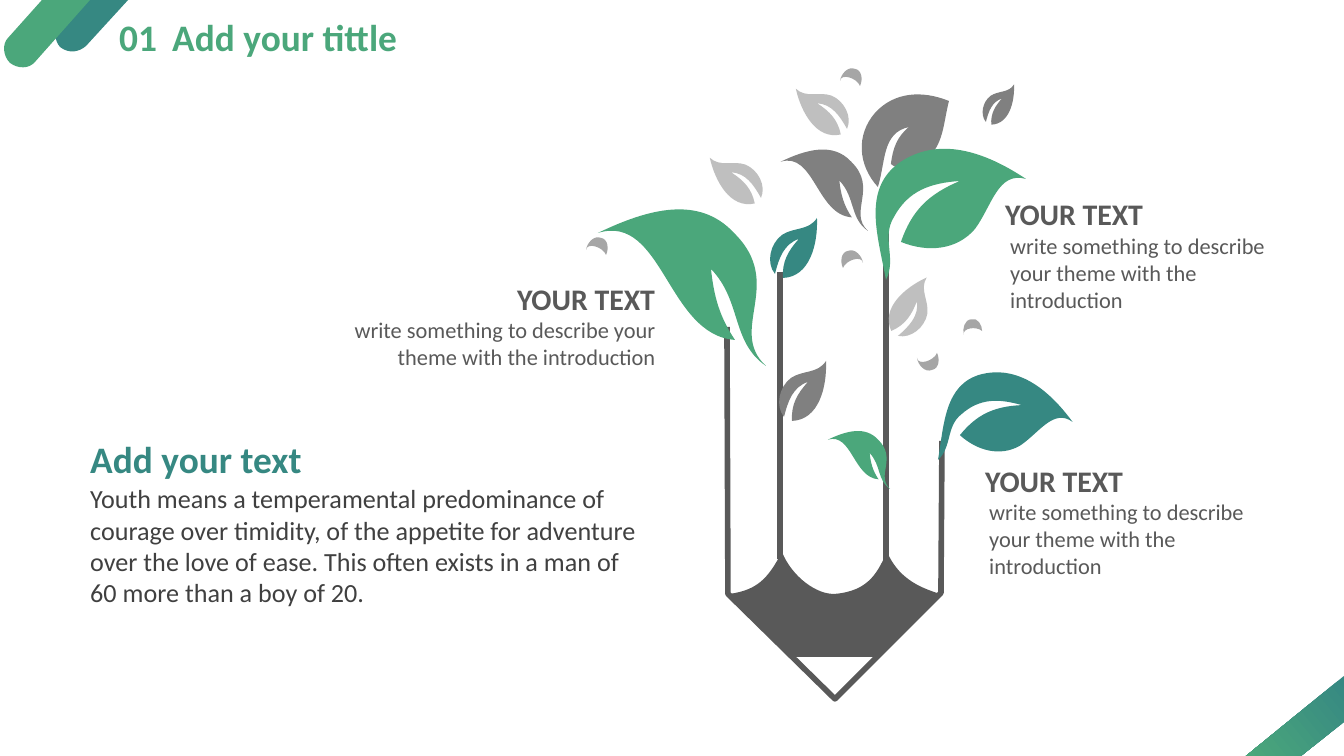
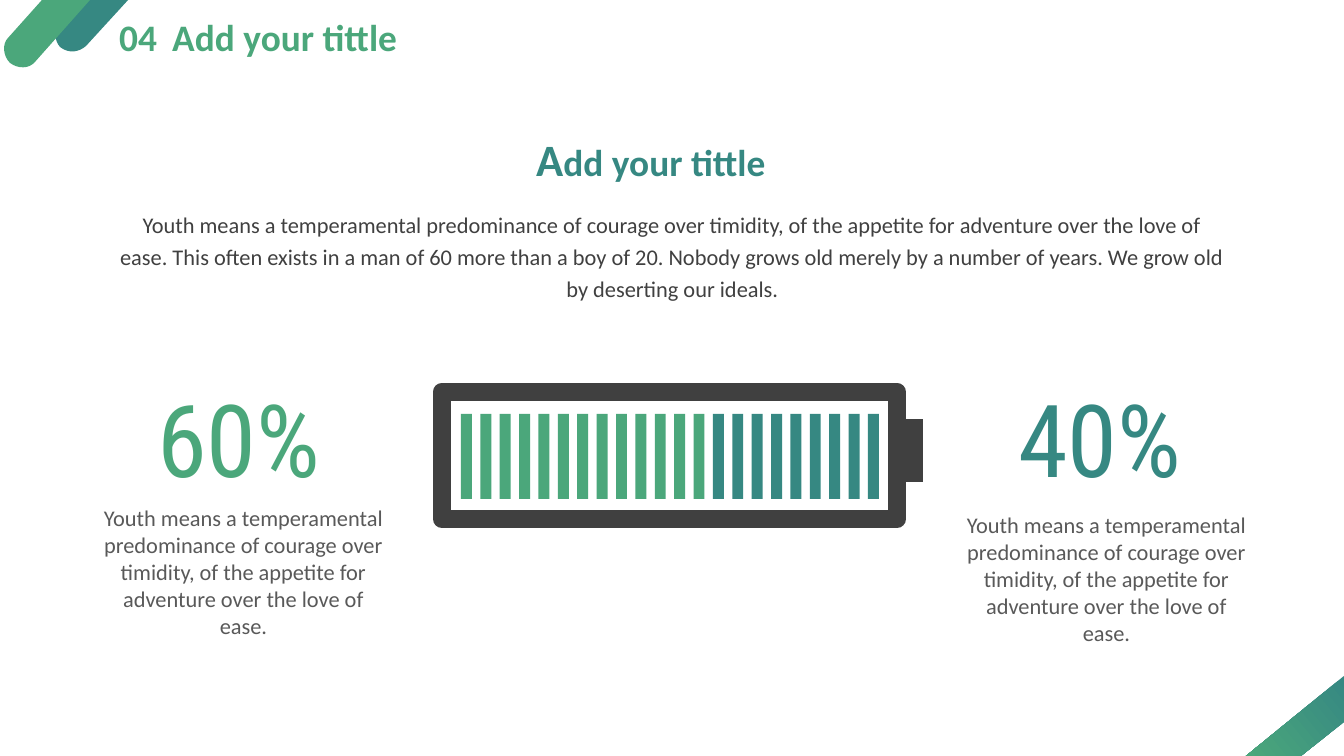
import math

from lxml import etree
from pptx import Presentation, util as u
from pptx.dml.color import RGBColor
from pptx.enum import shapes, text
from pptx.oxml.ns import qn

PX = 914400 / 134.4
GREEN = RGBColor(0x4B, 0xA7, 0x7B)
TEAL = RGBColor(0x36, 0x88, 0x82)
INK = RGBColor(0x40, 0x40, 0x40)
SLATE = RGBColor(0x59, 0x59, 0x59)
GREY = RGBColor(0x80, 0x80, 0x80)
SILVER = RGBColor(0xA6, 0xA6, 0xA6)
PALE = RGBColor(0xBF, 0xBF, 0xBF)
LEFT, CENTER, RIGHT = text.PP_ALIGN.LEFT, text.PP_ALIGN.CENTER, text.PP_ALIGN.RIGHT

# Outlines start at (0, 0). One pair is a straight side, three pairs are a Bézier curve.
TEAL_BAND = [
    [(49, 0)], [(7, 46)],
    [(0, 52), (-10, 54), (-19, 47)],
    [(-25, 40), (-25, 30), (-20, 22)],
]
GREEN_BAND = [
    [(48, 0)], [(-7, 62)],
    [(-13, 69), (-24, 69), (-32, 63)],
    [(-39, 56), (-40, 44), (-34, 38)],
]
CORNER_BAND = [[(0, 46)], [(-43, 80)], [(-98, 80)]]
BROAD_LEAF = [
    [(-8, -44), (-24, -90), (13, -117)],
    [(52, -144), (98, -129), (140, -101)],
    [(112, -109), (106, -74), (89, -51)],
    [(71, -30), (42, -27), (15, -38)],
    [(26, -70), (43, -86), (74, -99)],
    [(44, -97), (22, -89), (8, -63)],
    [(-5, -42), (11, -22), (0, 0)],
]
TOP_LEAF = [
    [(-20, -22), (-22, -52), (-3, -74)],
    [(16, -95), (44, -97), (71, -86)],
    [(65, -62), (66, -42), (47, -26)],
    [(39, -20), (19, -16), (13, -23)],
    [(15, -39), (19, -50), (31, -60)],
    [(4, -54), (8, -26), (0, 0)],
]
SMALL_LEAF = [
    [(-9, -11), (-5, -30), (7, -39)],
    [(19, -47), (34, -43), (42, -56)],
    [(43, -30), (35, 3), (8, 4)],
    [(7, -12), (13, -23), (24, -35)],
    [(9, -30), (4, -16), (0, 0)],
]
DROOPING_LEAF = [
    [(-35, -24), (-24, -65), (-55, -97)],
    [(-52, -70), (-47, -50), (-31, -26)],
    [(-99, -31), (-103, -153), (-168, -133)],
    [(-118, -157), (-67, -171), (-32, -133)],
    [(20, -82), (-39, -36), (0, 0)],
]
BUD = [
    [(1, -7), (8, -15), (15, -12)],
    [(22, -11), (23, -1), (20, 5)],
    [(17, -3), (1, -8), (0, 0)],
]
PENCIL_WOOD = [
    [(27, -4), (38, -15), (52, -42)],
    [(62, -17), (87, 1), (105, 0)],
    [(140, -3), (148, -23), (157, -42)],
    [(168, -17), (187, -7), (210, 0)],
    [(148, 63)], [(60, 63)],
]


def draw_outline(page, outline, colour, x, y, scale=1, angle=0, mirror=1):
    """Draw a filled outline from (x, y): mirrored, then turned clockwise by angle."""
    cos, sin = (scale * f(math.radians(angle)) for f in (math.cos, math.sin))
    points = [((x + mirror * px * cos - py * sin) * PX,
               (y + mirror * px * sin + py * cos) * PX)
              for segment in outline for px, py in segment]
    builder = page.shapes.build_freeform(x * PX, y * PX)
    builder.add_line_segments(points, close=True)
    shape = builder.convert_to_shape()
    sides = iter(list(shape._element.iter(qn("a:lnTo"))))
    for segment in outline:
        first = next(sides)
        if len(segment) == 3:
            first.tag = qn("a:cubicBezTo")
            for _ in range(2):
                side = next(sides)
                first.append(side[0])
                side.getparent().remove(side)
    shape.shadow.inherit = False
    shape.fill.solid()
    shape.fill.fore_color.rgb = colour
    shape.line.fill.background()
    return shape


def add_text(page, frame, words, size, colour, bold=False, wrap=False, align=LEFT,
             font="Calibri"):
    box = page.shapes.add_textbox(*(round(n * PX) for n in frame))
    box.text_frame.word_wrap = wrap
    box.text_frame.auto_size = text.MSO_AUTO_SIZE.SHAPE_TO_FIT_TEXT
    para = box.text_frame.paragraphs[0]
    para.alignment = align
    para.font.name = font
    para.font.size = u.Pt(size)
    para.font.bold = bold
    para.font.color.rgb = colour
    para.add_run().text = words
    return para


deck = Presentation()
deck.slide_width = round(1344 * PX)
deck.slide_height = round(756 * PX)

pages = []
for number in ("01", "04"):
    page = deck.slides.add_slide(deck.slide_layouts[6])
    draw_outline(page, TEAL_BAND, TEAL, 79, 0)
    draw_outline(page, GREEN_BAND, GREEN, 42, 0)
    corner = draw_outline(page, CORNER_BAND, TEAL, 1344, 676)
    corner.fill.gradient()
    corner.fill.gradient_angle = 219
    for stop, colour in zip(corner.fill.gradient_stops, (TEAL, GREEN)):
        stop.color.rgb = colour
    add_text(page, (106, 8, 66, 59), number, 20, GREEN, bold=True)
    add_text(page, (159, 8, 255, 59), "Add your tittle", 20, GREEN, bold=True)
    pages.append(page)
pencil_page, battery_page = pages

# Pencil with leaves
for heading_frame, note_frame, align in (
    ((992, 189, 167, 50), (997, 226, 304, 95), LEFT),
    ((972, 456, 167, 50), (976, 492, 304, 95), LEFT),
    ((504, 274, 167, 50), (317, 310, 352, 67), RIGHT),
):
    add_text(pencil_page, heading_frame, "YOUR TEXT", 16, SLATE, bold=True)
    add_text(pencil_page, note_frame,
             "write something to describe your theme with the introduction",
             12, SLATE, wrap=True, align=align)
add_text(pencil_page, (77, 430, 241, 59), "Add your text", 20, TEAL, bold=True)
add_text(pencil_page, (77, 476, 575, 140),
         "Youth means a temperamental predominance of courage over timidity, of the "
         "appetite for adventure over the love of ease. This often exists in a man of "
         "60 more than a boy of 20.", 14, INK, wrap=True)

draw_outline(pencil_page, TOP_LEAF, GREY, 878, 187)

builder = pencil_page.shapes.build_freeform(727, 327, scale=PX)
builder.add_line_segments([(728, 594), (835, 699), (941, 593), (942, 441)], close=False)
body = builder.convert_to_shape()
body.shadow.inherit = False
body.fill.background()
body.line.color.rgb = SLATE
body.line.width = u.Pt(3)
draw_outline(pencil_page, PENCIL_WOOD, SLATE, 730, 594)
for x, bottom, top in ((780, 559, 272), (886, 562, 220)):
    edge = pencil_page.shapes.add_connector(
        shapes.MSO_CONNECTOR.STRAIGHT, *(round(n * PX) for n in (x, bottom, x, top)))
    edge.line.color.rgb = SLATE
    edge.line.width = u.Pt(3)
    etree.SubElement(edge._element.spPr, qn("a:effectLst"))

for leaf in (
    (BROAD_LEAF, GREEN, 886, 280),
    (DROOPING_LEAF, GREEN, 890, 489, 0.37),
    (BROAD_LEAF, TEAL, 938, 460, 0.81, 20),
    (SMALL_LEAF, GREY, 784, 417),
    (DROOPING_LEAF, GREEN, 766, 366),
    (BUD, SILVER, 863, 263, 1, 0, -1),
    (BUD, SILVER, 586, 250),
    (BUD, SILVER, 840, 81),
    (BUD, SILVER, 917, 358, 1, 180, -1),
    (SMALL_LEAF, GREY, 986, 122, 0.67),
    (SMALL_LEAF, PALE, 761, 198, 0.93, -15, -1),
    (DROOPING_LEAF, GREY, 868, 231, 0.52),
    (SMALL_LEAF, PALE, 898, 336, 0.93, 63, -1),
    (SMALL_LEAF, PALE, 847, 129, 0.93, -15, -1),
    (BUD, SILVER, 964, 335, 0.9, -26),
    (SMALL_LEAF, TEAL, 775, 274),
):
    draw_outline(pencil_page, *leaf)

# Battery
BARS, GREEN_BARS = 22, 13
bars = [((461 + i * 407 / (BARS - 1), 414, 11, 85), GREEN if i < GREEN_BARS else TEAL)
        for i in range(BARS)]
for frame, colour in [((442, 392, 455, 127), None), ((891, 419, 32, 63), INK), *bars]:
    block = battery_page.shapes.add_shape(
        shapes.MSO_SHAPE.RECTANGLE, *(round(n * PX) for n in frame))
    block.shadow.inherit = False
    if colour is None:
        block.fill.background()
        block.line.color.rgb = INK
        block.line.width = u.Pt(9.75)
    else:
        block.fill.solid()
        block.fill.fore_color.rgb = colour
        block.line.fill.background()

for share, colour, share_frame, note_frame in (
    ("40%", TEAL, (1005, 370, 203, 136), (950, 505, 313, 149)),
    ("60%", GREEN, (144, 370, 207, 136), (87, 498, 313, 149)),
):
    add_text(battery_page, share_frame, share, 54, colour, font="Roboto Condensed")
    add_text(battery_page, note_frame,
             "Youth means a temperamental predominance of courage over timidity, of the "
             "appetite for adventure over the love of ease.",
             12, SLATE, wrap=True, align=CENTER)

intro = add_text(battery_page, (106, 199, 1133, 112),
                 "Youth means a temperamental predominance of courage over timidity, of the "
                 "appetite for adventure over the love of ease. This often exists in a man "
                 "of 60 more than a boy of 20. Nobody grows old merely by a number of years. "
                 "We grow old by deserting our ideals.", 12, INK, wrap=True, align=CENTER)
intro.line_spacing = 1.2
heading = add_text(battery_page, (523, 125, 259, 67), "A", 20, TEAL, bold=True)
heading.runs[0].font.size = u.Pt(24)
heading.add_run().text = "dd your tittle"

deck.save("out.pptx")
